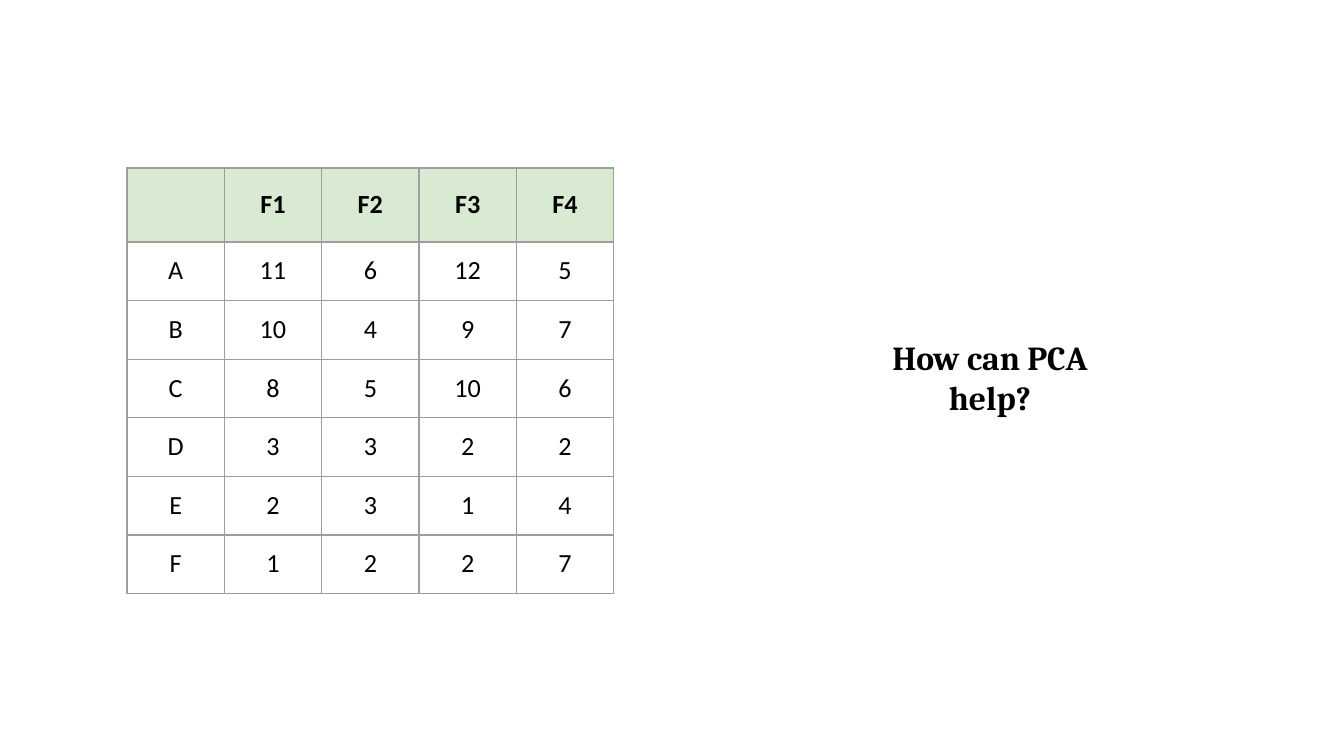
"""Build a slide with a feature table and a question about PCA."""
from lxml.etree import SubElement
from pptx import Presentation
from pptx.dml.color import RGBColor
from pptx.enum.text import MSO_ANCHOR, PP_ALIGN
from pptx.oxml.ns import qn
from pptx.util import Pt

EMU_PER_PX = 6804
COLORS = {"text": "000000", "header": "D9EAD3", "border": "9E9E9E"}
FEATURES = [
    ["", "F1", "F2", "F3", "F4"],
    ["A", 11, 6, 12, 5],
    ["B", 10, 4, 9, 7],
    ["C", 8, 5, 10, 6],
    ["D", 3, 3, 2, 2],
    ["E", 2, 3, 1, 4],
    ["F", 1, 2, 2, 7],
]
MARGINS = {f"margin_{side}": 13 * EMU_PER_PX for side in ("left", "top", "right", "bottom")}
CELL_FONT = {"name": "Calibri", "size": Pt(14)}
QUESTION_FONT = {"name": "Cambria", "size": Pt(18), "bold": True}


def px(length):
    return length * EMU_PER_PX


def write(frame, text, font_format):
    paragraph = frame.paragraphs[0]
    paragraph.alignment = PP_ALIGN.CENTER
    if text:
        font = paragraph.add_run().font
        paragraph.runs[0].text = text
        font.color.rgb = RGBColor.from_string(COLORS["text"])
        for key, value in font_format.items():
            setattr(font, key, value)


deck = Presentation()
deck.slide_width, deck.slide_height = px(1344), px(756)
slide = deck.slides.add_slide(deck.slide_layouts[6])

features = slide.shapes.add_table(
    len(FEATURES), len(FEATURES[0]), px(127), px(168), px(487), px(426)
).table
for column in features.columns:
    column.width = px(487) // 5
for index, row in enumerate(features.rows):
    row.height = px(352) // 6 if index else px(74)

for row_index, values in enumerate(FEATURES):
    is_header = row_index == 0
    for column_index, value in enumerate(values):
        cell = features.cell(row_index, column_index)
        for key, margin in MARGINS.items():
            setattr(cell, key, margin)
        cell.vertical_anchor = MSO_ANCHOR.MIDDLE if is_header else MSO_ANCHOR.TOP
        properties = cell._tc.get_or_add_tcPr()
        for edge in ("a:lnL", "a:lnR", "a:lnT", "a:lnB"):
            border = SubElement(properties, qn(edge), w=str(Pt(0.75)))
            border_fill = SubElement(border, qn("a:solidFill"))
            SubElement(border_fill, qn("a:srgbClr"), val=COLORS["border"])
        if is_header:
            cell.fill.solid()
            cell.fill.fore_color.rgb = RGBColor.from_string(COLORS["header"])
        else:
            cell.fill.background()
        write(cell.text_frame, str(value), CELL_FONT | {"bold": is_header})

question = slide.shapes.add_textbox(px(857), px(353), px(266), px(48)).text_frame
for key, value in (MARGINS | {"word_wrap": True, "vertical_anchor": MSO_ANCHOR.MIDDLE}).items():
    setattr(question, key, value)
write(question, "How can PCA help?", QUESTION_FONT)

deck.save("out.pptx")
